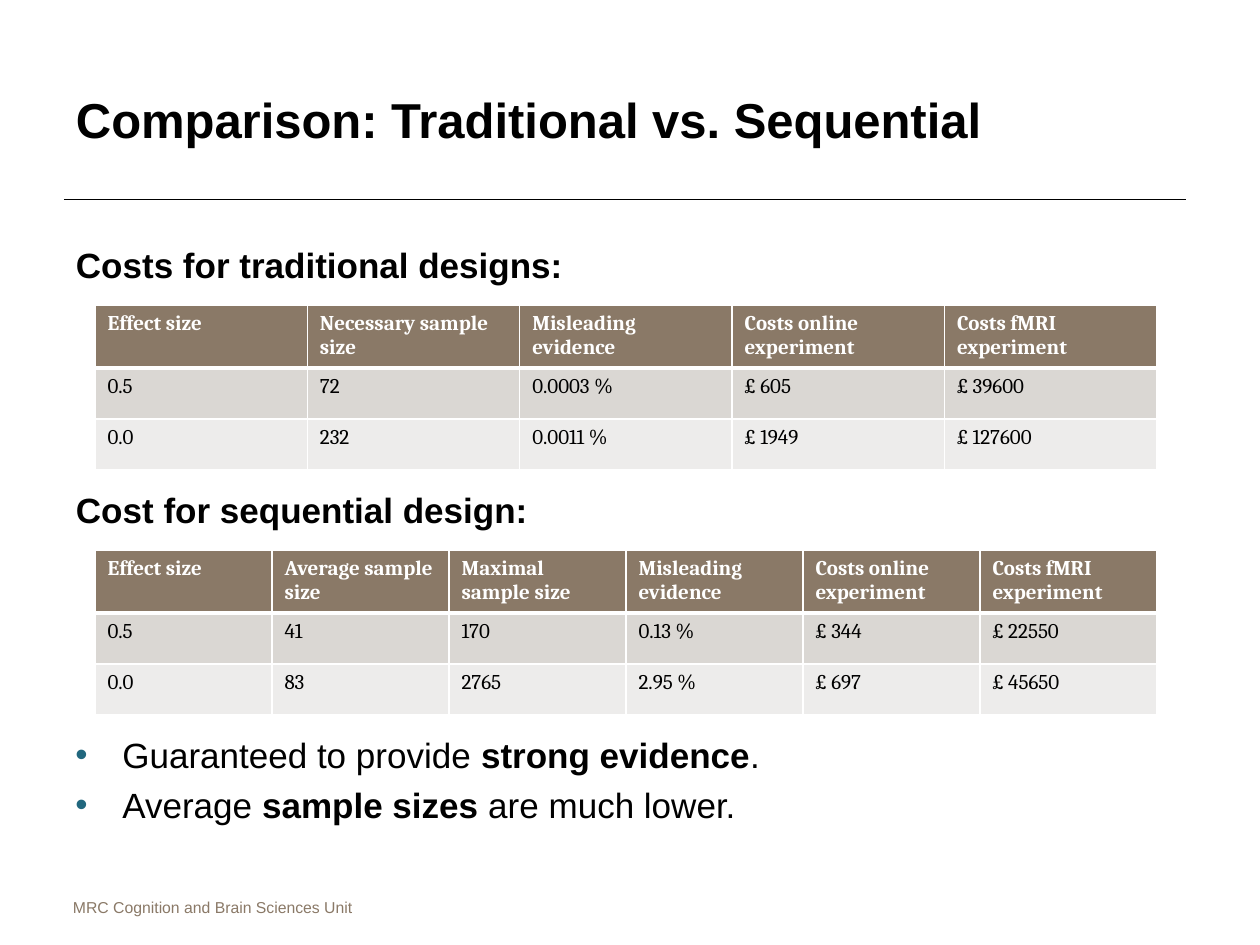
from dataclasses import dataclass

from lxml import etree
from pptx import Presentation
from pptx.dml.color import RGBColor
from pptx.enum.shapes import MSO_CONNECTOR
from pptx.enum.text import MSO_ANCHOR
from pptx.oxml.ns import qn
from pptx.util import Emu, Pt

PIXELS_PER_INCH = 126
STRAIGHT = MSO_CONNECTOR.STRAIGHT
MIDDLE, TOP = MSO_ANCHOR.MIDDLE, MSO_ANCHOR.TOP

BLACK = RGBColor(0x00, 0x00, 0x00)
WHITE = RGBColor(0xFF, 0xFF, 0xFF)
TAUPE = RGBColor(0x8A, 0x79, 0x67)
BAND_DARK = RGBColor(0xDA, 0xD7, 0xD3)
BAND_LIGHT = RGBColor(0xED, 0xEC, 0xEB)
BULLET_BLUE = RGBColor(0x21, 0x67, 0x7E)

ROW_FILLS = (TAUPE, BAND_DARK, BAND_LIGHT)
ROW_HEIGHTS = (63, 51, 51)
TABLE_LEFT, TABLE_WIDTH = 95, 1062
TEXT_LEFT, TEXT_WIDTH = 63, 1124


@dataclass
class Label:
    text: str
    left: int
    top: int
    width: int
    height: int
    size: int
    color: RGBColor = BLACK
    bold: bool = True
    anchor: MSO_ANCHOR = TOP
    side_margin: int = 13


@dataclass
class CostTable:
    top: int
    rows: list[tuple[str, ...]]


LABELS = [
    Label("Comparison: Traditional vs. Sequential", TEXT_LEFT, 63, TEXT_WIDTH, 112, 28,
          anchor=MIDDLE),
    Label("Costs for traditional designs:", TEXT_LEFT, 237, TEXT_WIDTH, 54, 20),
    Label("Cost for sequential design:", TEXT_LEFT, 482, TEXT_WIDTH, 54, 20),
    Label("MRC Cognition and Brain Sciences Unit", 73, 892, 305, 32, 9,
          color=TAUPE, bold=False, side_margin=0),
]

TABLES = [
    CostTable(305, [
        ("Effect size", "Necessary sample size", "Misleading evidence",
         "Costs online experiment", "Costs fMRI experiment"),
        ("0.5", "72", "0.0003 %", "£ 605", "£ 39600"),
        ("0.0", "232", "0.0011 %", "£ 1949", "£ 127600"),
    ]),
    CostTable(550, [
        ("Effect size", "Average sample size", "Maximal sample size",
         "Misleading evidence", "Costs online experiment", "Costs fMRI experiment"),
        ("0.5", "41", "170", "0.13 %", "£ 344", "£ 22550"),
        ("0.0", "83", "2765", "2.95 %", "£ 697", "£ 45650"),
    ]),
]

# Each bullet is plain text, bold text, plain text
BULLETS = [
    ("Guaranteed to provide ", "strong evidence", "."),
    ("Average ", "sample sizes ", "are much lower."),
]


def px(length: int) -> Emu:
    return Emu(round(length * 914400 / PIXELS_PER_INCH))


def set_font(font, name: str, size: int, color: RGBColor) -> None:
    font.name = name
    font.size = Pt(size)
    font.color.rgb = color


def add_text_frame(slide, left: int, top: int, width: int, height: int):
    box = slide.shapes.add_textbox(px(left), px(top), px(width), px(height))
    box.text_frame.word_wrap = True
    return box.text_frame


def add_label(slide, label: Label) -> None:
    frame = add_text_frame(slide, label.left, label.top, label.width, label.height)
    frame.vertical_anchor = label.anchor
    frame.margin_left = frame.margin_right = px(label.side_margin)
    paragraph = frame.paragraphs[0]
    paragraph.text = label.text
    set_font(paragraph.font, "Arial", label.size, label.color)
    paragraph.font.bold = label.bold


def add_rule(slide, left: int, right: int, y: int) -> None:
    rule = slide.shapes.add_connector(STRAIGHT, px(left), px(y), px(right), px(y))
    rule.line.color.rgb = BLACK
    rule.line.width = Pt(0.5)
    etree.SubElement(rule._element.spPr, qn("a:effectLst"))


def add_border(cell, side: str, points: int) -> None:
    properties = cell._tc.get_or_add_tcPr()
    line = etree.SubElement(properties, qn(f"a:ln{side}"), w=str(Pt(points)))
    fill = etree.SubElement(line, qn("a:solidFill"))
    etree.SubElement(fill, qn("a:srgbClr"), val=str(WHITE))


def add_cost_table(slide, cost_table: CostTable) -> None:
    column_count = len(cost_table.rows[0])
    table = slide.shapes.add_table(
        len(cost_table.rows), column_count, px(TABLE_LEFT), px(cost_table.top),
        px(TABLE_WIDTH), px(sum(ROW_HEIGHTS))).table
    for column in table.columns:
        column.width = px(TABLE_WIDTH) // column_count
    for row_index, texts in enumerate(cost_table.rows):
        table.rows[row_index].height = px(ROW_HEIGHTS[row_index])
        is_header = row_index == 0
        for column_index, text in enumerate(texts):
            cell = table.cell(row_index, column_index)
            # A thick line separates the header from the first data row
            add_border(cell, "L", 1)
            add_border(cell, "R", 1)
            add_border(cell, "T", 3 if row_index == 1 else 1)
            add_border(cell, "B", 3 if is_header else 1)
            cell.fill.solid()
            cell.fill.fore_color.rgb = ROW_FILLS[row_index]
            cell.text = text
            font = cell.text_frame.paragraphs[0].font
            set_font(font, "Cambria", 12, WHITE if is_header else BLACK)
            font.bold = is_header


def add_bullets(slide) -> None:
    frame = add_text_frame(slide, TEXT_LEFT, 727, TEXT_WIDTH, 110)
    for index, parts in enumerate(BULLETS):
        paragraph = frame.add_paragraph() if index else frame.paragraphs[0]
        properties = paragraph._p.get_or_add_pPr()
        properties.set("marL", str(px(47)))
        properties.set("indent", str(-px(47)))
        color = etree.SubElement(properties, qn("a:buClr"))
        etree.SubElement(color, qn("a:srgbClr"), val=str(BULLET_BLUE))
        etree.SubElement(properties, qn("a:buFont"), typeface="Arial")
        etree.SubElement(properties, qn("a:buChar"), char="•")
        if index:
            paragraph.space_before = Pt(4.8)
        set_font(paragraph.font, "Arial", 20, BLACK)
        for part_index, text in enumerate(parts):
            run = paragraph.add_run()
            run.text = text
            run.font.bold = part_index == 1


def main() -> None:
    presentation = Presentation()
    presentation.slide_width = px(1260)
    presentation.slide_height = px(945)
    slide = presentation.slides.add_slide(presentation.slide_layouts[6])

    # Title, headings and footer
    add_rule(slide, 64, 1186, 199)
    for label in LABELS:
        add_label(slide, label)

    # Cost tables and conclusions
    for cost_table in TABLES:
        add_cost_table(slide, cost_table)
    add_bullets(slide)

    presentation.save("out.pptx")


if __name__ == "__main__":
    main()
